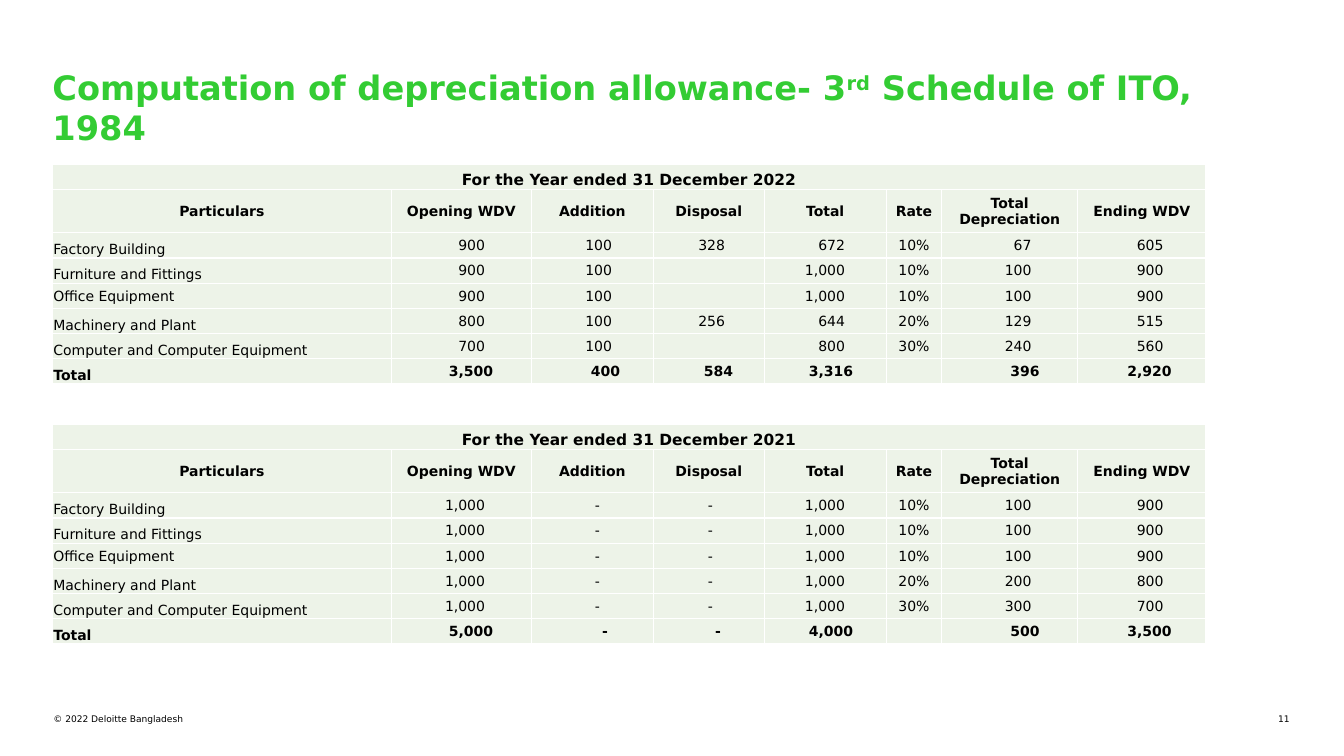
from dataclasses import dataclass

from lxml import etree
from pptx import Presentation
from pptx.dml.color import RGBColor
from pptx.enum.text import MSO_ANCHOR, MSO_AUTO_SIZE, PP_ALIGN
from pptx.oxml.ns import qn
from pptx.util import Inches, Pt

LEFT, CENTER, RIGHT = PP_ALIGN.LEFT, PP_ALIGN.CENTER, PP_ALIGN.RIGHT
TOP, MIDDLE, BOTTOM = MSO_ANCHOR.TOP, MSO_ANCHOR.MIDDLE, MSO_ANCHOR.BOTTOM
NO_AUTOFIT = MSO_AUTO_SIZE.NONE

FONT = "DejaVu Sans"
BLACK, WHITE, GREEN, PALE_GREEN = "000000", "FFFFFF", "33CC33", "EDF3E8"

TABLE_LEFT, TABLE_WIDTH = 0.52, 11.45
ROW_HEIGHT, HEADER_HEIGHT = 0.25, 0.43
CELL_MARGIN = 0.01
TOTAL_SHIFT, DASH_INDENT = 0.08, 0.12
RATE_COLUMN = 5


@dataclass
class Column:
    heading: str
    width: float
    right_indent: float = CELL_MARGIN


@dataclass
class Schedule:
    year: int
    top: float
    rows: list[list[str]]


COLUMNS = [
    Column("Particulars", 3.36),
    Column("Opening WDV", 1.39, 0.46),
    Column("Addition", 1.21, 0.41),
    Column("Disposal", 1.1, 0.39),
    Column("Total", 1.21, 0.41),
    Column("Rate", 0.55),
    Column("Total Depreciation", 1.35, 0.46),
    Column("Ending WDV", 1.27, 0.42),
]

SCHEDULES = [
    Schedule(2021, 4.21, [
        ["Factory Building", "1,000", "-", "-", "1,000", "10%", "100", "900"],
        ["Furniture and Fittings", "1,000", "-", "-", "1,000", "10%", "100", "900"],
        ["Office Equipment", "1,000", "-", "-", "1,000", "10%", "100", "900"],
        ["Machinery and Plant", "1,000", "-", "-", "1,000", "20%", "200", "800"],
        ["Computer and Computer Equipment", "1,000", "-", "-", "1,000", "30%", "300", "700"],
        ["Total", "5,000", "-", "-", "4,000", "", "500", "3,500"],
    ]),
    Schedule(2022, 1.63, [
        ["Factory Building", "900", "100", "328", "672", "10%", "67", "605"],
        ["Furniture and Fittings", "900", "100", "", "1,000", "10%", "100", "900"],
        ["Office Equipment", "900", "100", "", "1,000", "10%", "100", "900"],
        ["Machinery and Plant", "800", "100", "256", "644", "20%", "129", "515"],
        ["Computer and Computer Equipment", "700", "100", "", "800", "30%", "240", "560"],
        ["Total", "3,500", "400", "584", "3,316", "", "396", "2,920"],
    ]),
]


def rgb(color: str) -> RGBColor:
    return RGBColor.from_string(color)


def format_paragraph(p, size: float, color: str = BLACK, bold: bool = False, align=LEFT) -> None:
    p.alignment = align
    p.font.name = FONT
    p.font.size = Pt(size)
    p.font.bold = bold
    p.font.color.rgb = rgb(color)


def clear_margins(tf) -> None:
    tf.margin_left = tf.margin_right = tf.margin_top = tf.margin_bottom = 0
    tf.word_wrap = True


def add_title(slide) -> None:
    title = slide.shapes.title
    title.left, title.top = Inches(TABLE_LEFT), Inches(0.66)
    title.width, title.height = Inches(TABLE_WIDTH), Inches(0.81)
    tf = title.text_frame
    clear_margins(tf)
    tf.auto_size = NO_AUTOFIT
    tf.vertical_anchor = TOP
    p = tf.paragraphs[0]
    format_paragraph(p, 24, GREEN, bold=True)
    p.add_run().text = "Computation of depreciation allowance- 3"
    ordinal = p.add_run()
    ordinal.text = "rd"
    ordinal.font._element.set("baseline", "30000")
    p.add_run().text = " Schedule of ITO, 1984"


def add_footer(slide, text: str, left: float, width: float, align) -> None:
    box = slide.shapes.add_textbox(Inches(left), Inches(7.08), Inches(width), Inches(0.11))
    tf = box.text_frame
    clear_margins(tf)
    p = tf.paragraphs[0]
    p.text = text
    format_paragraph(p, 6.5, align=align)


def add_borders(cell) -> None:
    tc_pr = cell._tc.get_or_add_tcPr()
    for side in ("a:lnL", "a:lnR", "a:lnT", "a:lnB"):
        line = etree.SubElement(tc_pr, qn(side), w=str(Pt(1)))
        fill = etree.SubElement(line, qn("a:solidFill"))
        etree.SubElement(fill, qn("a:srgbClr"), val=WHITE)


def fill_cell(cell, text: str, size: float = 10, bold: bool = False, align=CENTER,
              anchor=MIDDLE, right_indent: float = CELL_MARGIN) -> None:
    add_borders(cell)
    cell.fill.solid()
    cell.fill.fore_color.rgb = rgb(PALE_GREEN)
    cell.margin_left = cell.margin_top = Inches(CELL_MARGIN)
    cell.margin_right, cell.margin_bottom = Inches(right_indent), 0
    cell.vertical_anchor = anchor
    p = cell.text_frame.paragraphs[0]
    p.text = text
    format_paragraph(p, size, bold=bold, align=align)
    if not text:
        etree.SubElement(p._p, qn("a:endParaRPr"), sz=str(size * 100))


def fill_value(cell, text: str, column: Column, is_total: bool) -> None:
    indent = column.right_indent
    if is_total:
        indent -= TOTAL_SHIFT
    if text == "-":
        indent += DASH_INDENT
    fill_cell(cell, text, bold=is_total, align=RIGHT, right_indent=indent)


def add_schedule(slide, schedule: Schedule) -> None:
    heights = [ROW_HEIGHT, HEADER_HEIGHT] + [ROW_HEIGHT] * len(schedule.rows)
    frame = slide.shapes.add_table(
        len(heights), len(COLUMNS), Inches(TABLE_LEFT), Inches(schedule.top),
        Inches(TABLE_WIDTH), Inches(sum(heights)))
    table = frame.table
    table.first_row = table.horz_banding = False
    for row, height in zip(table.rows, heights):
        row.height = Inches(height)

    for c, column in enumerate(COLUMNS):
        table.columns[c].width = Inches(column.width)
        caption = f"For the Year ended 31 December {schedule.year}" if c == 0 else ""
        fill_cell(table.cell(0, c), caption, size=11, bold=True, anchor=BOTTOM)
        fill_cell(table.cell(1, c), column.heading, bold=True)
    table.cell(0, 0).merge(table.cell(0, len(COLUMNS) - 1))

    for r, values in enumerate(schedule.rows, start=2):
        is_total = values[0] == "Total"
        for c, (text, column) in enumerate(zip(values, COLUMNS)):
            cell = table.cell(r, c)
            if c == 0:
                anchor = MIDDLE if text == "Office Equipment" else BOTTOM
                fill_cell(cell, text, bold=is_total, align=LEFT, anchor=anchor)
            elif c == RATE_COLUMN:
                fill_cell(cell, text)
            else:
                fill_value(cell, text, column, is_total)


def main() -> None:
    prs = Presentation()
    prs.slide_width, prs.slide_height = Inches(13.33), Inches(7.5)
    slide = prs.slides.add_slide(prs.slide_layouts.get_by_name("Title Only"))
    add_footer(slide, "© 2022 Deloitte Bangladesh", 0.53, 5.86, LEFT)
    add_footer(slide, "11", 12.45, 0.34, RIGHT)
    add_title(slide)
    for schedule in SCHEDULES:
        add_schedule(slide, schedule)
    prs.save("out.pptx")


if __name__ == "__main__":
    main()
